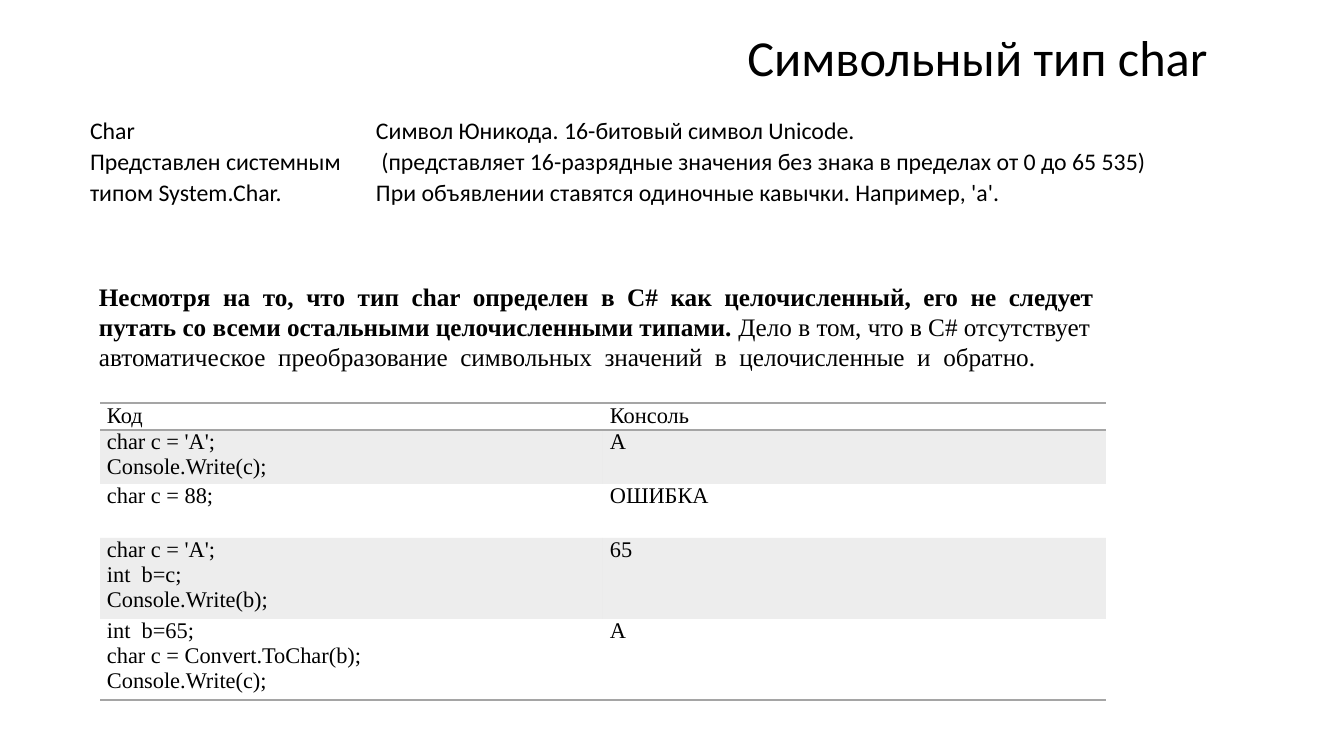
from lxml.etree import SubElement
from pptx import Presentation
from pptx.dml.color import RGBColor
from pptx.enum.text import MSO_ANCHOR as Anchor, PP_ALIGN as Align
from pptx.oxml import parse_xml
from pptx.oxml.ns import nsdecls, qn
from pptx.util import Pt

# Content
TITLE = "Символьный тип char"
SUMMARY = [(
    "Char\nПредставлен системным типом System.Char.",
    "Символ Юникода. 16-битовый символ Unicode.\n"
    " (представляет 16-разрядные значения без знака в пределах от 0 до 65 535)\n"
    "При объявлении ставятся одиночные кавычки. Например, 'а'.",
)]
WARNING = [
    ("Несмотря  на  то,  что  тип  char  определен  в  C#  как  целочисленный,  "
     "его  не  следует путать со всеми остальными целочисленными типами. ", True),
    ("Дело в том, что в C# отсутствует  автоматическое  преобразование  символьных  "
     "значений  в  целочисленные  и  обратно.", False),
]
EXAMPLES = [
    ("Код", "Консоль"),
    ("char c = 'A';\nConsole.Write(c);", "А"),
    ("char c = 88;", "ОШИБКА"),
    ("char c = 'A';\nint  b=c;\nConsole.Write(b);", "65"),
    ("int  b=65;\nchar c = Convert.ToChar(b);\nConsole.Write(c);", "A"),
]
EXAMPLE_LINES = [1, 2, 2, 3, 3]
LINE_HEIGHT = 27

SANS, SERIF = "Calibri", "Times New Roman"
BLACK, GREY = "000000", "A5A5A5"
PLAIN_TABLE = "{2D5ABB26-0587-4C30-8999-92F81FD0307C}"


def px(length):
    return round(length * 914400 / 100.8)


def color(value):
    return RGBColor.from_string(value)


def style_run(run, font, size, bold=False):
    run.font.name, run.font.size, run.font.bold = font, Pt(size), bold
    run.font.color.rgb = color(BLACK)


def add_text(left, top, width, height):
    frame = slide.shapes.add_textbox(px(left), px(top), px(width), px(height)).text_frame
    frame.word_wrap = True
    return frame


def add_plain_table(rows, left, top, widths, heights, font, size, margins, spacing=None):
    shape = slide.shapes.add_table(len(rows), len(widths), px(left), px(top),
                                   px(sum(widths)), px(sum(heights)))
    table = shape.table
    table.first_row = table.horz_banding = False
    next(shape.element.iter(qn("a:tableStyleId"))).text = PLAIN_TABLE
    for column, width in zip(table.columns, widths):
        column.width = px(width)
    for row, height, texts in zip(table.rows, heights, rows):
        row.height = px(height)
        for cell, text in zip(row.cells, texts):
            cell.margin_left = cell.margin_right = px(margins[0])
            cell.margin_top = cell.margin_bottom = px(margins[1])
            cell.fill.background()
            cell.text_frame.text = text
            for paragraph in cell.text_frame.paragraphs:
                paragraph.line_spacing = spacing
                for run in paragraph.runs:
                    style_run(run, font, size)
    return table


def shade(cell):
    cell.fill.solid()
    cell.fill.fore_color.rgb = color(GREY)
    rgb = next(cell.fill._xPr.iter(qn("a:srgbClr")))
    SubElement(rgb, qn("a:alpha"), val="20000")


def add_borders(cell, sides):
    properties = cell._tc.get_or_add_tcPr()
    for position, side in enumerate(sides):
        properties.insert(position, parse_xml(
            f'<a:ln{side} {nsdecls("a")} w="12700"><a:solidFill>'
            f'<a:srgbClr val="{GREY}"/></a:solidFill></a:ln{side}>'))


presentation = Presentation()
presentation.slide_width, presentation.slide_height = px(1344), px(756)
slide = presentation.slides.add_slide(presentation.slide_layouts[6])

# Title
title = add_text(610, 15, 735, 91)
title.vertical_anchor = Anchor.MIDDLE
title.text = TITLE
heading = title.paragraphs[0]
heading.alignment, heading.line_spacing = Align.CENTER, 0.9
style_run(heading.runs[0], SANS, 36)

# Type summary
add_plain_table(SUMMARY, 89, 114, [286, 855], [148], SANS, 17, (1, 1), 1.07)

# Warning with a bold opening
warning = add_text(89, 276, 1070, 102).paragraphs[0]
for text, bold in WARNING:
    run = warning.add_run()
    run.text = text
    style_run(run, SERIF, 18, bold)

# Code examples: banded rows, rules around the header and at the bottom
heights = [lines * LINE_HEIGHT for lines in EXAMPLE_LINES]
examples = add_plain_table(EXAMPLES, 100, 403, [503, 503], heights, SERIF, 16, (7, 0))
last = len(EXAMPLES) - 1
for index, row in enumerate(examples.rows):
    for cell in row.cells:
        if index % 2:
            shade(cell)
        add_borders(cell, {0: "TB", last: "B"}.get(index, ""))

presentation.save("out.pptx")
